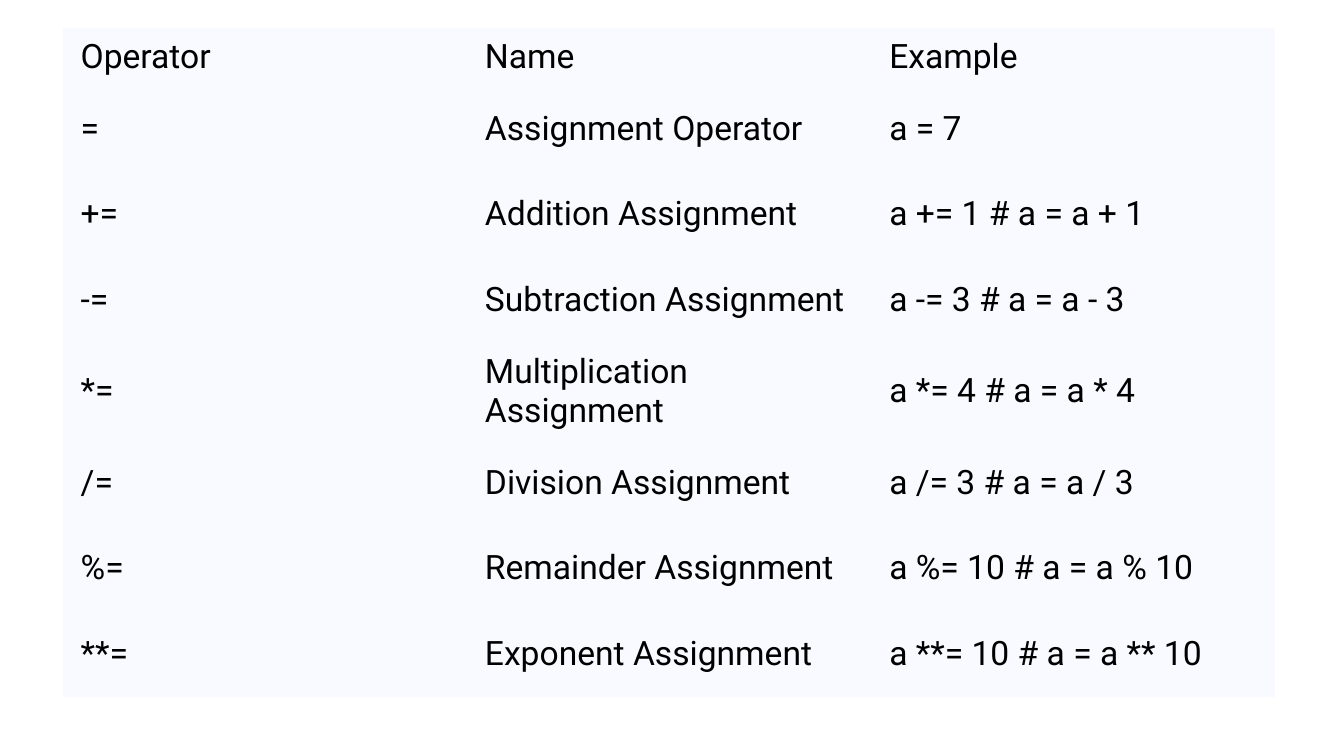
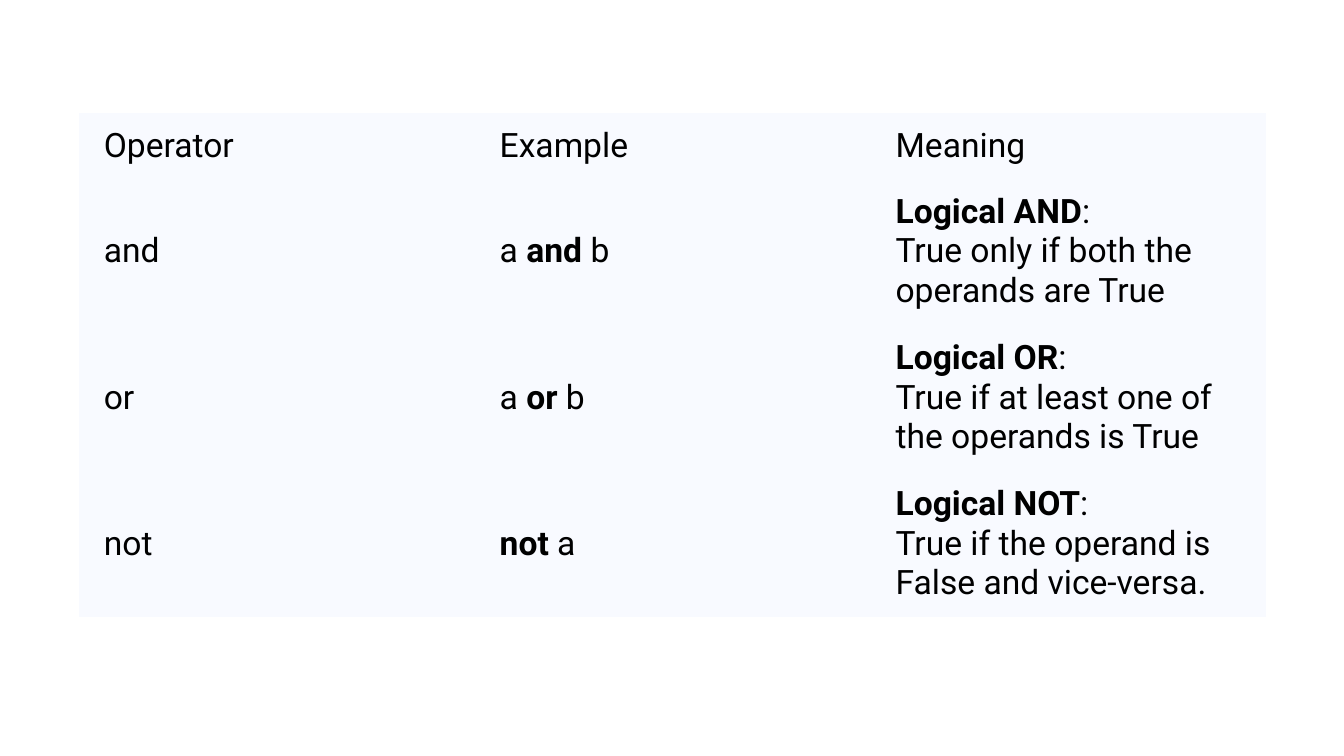
from pptx import Presentation
from pptx.dml.color import RGBColor
from pptx.enum import text
from pptx.util import Inches, Pt

COLORS = {"ink": "000000", "cell": "F8FAFF"}
FONT = "Roboto"
FONT_SIZE = Pt(24)
PLAIN_TABLE_STYLE = "{2D5ABB26-0587-4C30-8999-92F81FD0307C}"
BLANK_LAYOUT = 6

ASSIGNMENT_ROWS = [
    ("Operator", "Name", "Example"),
    ("=", "Assignment Operator", "a = 7"),
    ("+=", "Addition Assignment", "a += 1 # a = a + 1"),
    ("-=", "Subtraction Assignment", "a -= 3 # a = a - 3"),
    ("*=", "Multiplication Assignment", "a *= 4 # a = a * 4"),
    ("/=", "Division Assignment", "a /= 3 # a = a / 3"),
    ("%=", "Remainder Assignment", "a %= 10 # a = a % 10"),
    ("**=", "Exponent Assignment", "a **= 10 # a = a ** 10"),
]


def bold(words):
    return words, True


def meaning(name, explanation):
    return [bold(name), ":", "\n", explanation]


LOGICAL_ROWS = [
    ("Operator", "Example", "Meaning"),
    ("and", ["a ", bold("and"), " b"],
     meaning("Logical AND", "True only if both the operands are True")),
    ("or", ["a ", bold("or"), " b"],
     meaning("Logical OR", "True if at least one of the operands is True")),
    ("not", [bold("not"), " a"],
     meaning("Logical NOT", "True if the operand is False and vice-versa.")),
]


def fill_cell(cell, content, side, edge):
    """Write a string, or a list of plain and bold spans, into a cell."""
    cell.fill.solid()
    cell.fill.fore_color.rgb = RGBColor.from_string(COLORS["cell"])
    cell.vertical_anchor = text.MSO_ANCHOR.MIDDLE
    cell.margin_left = cell.margin_right = Inches(side)
    cell.margin_top = cell.margin_bottom = Inches(edge)
    para = cell.text_frame.paragraphs[0]
    para.font.size = FONT_SIZE
    para.font.name = FONT
    for part in [content] if isinstance(content, str) else content:
        if part == "\n":
            para.add_line_break()
            continue
        words, is_bold = (part, False) if isinstance(part, str) else part
        span = para.add_run()
        span.text = words
        span.font.name = FONT
        span.font.size = FONT_SIZE
        span.font.bold = is_bold
        span.font.color.rgb = RGBColor.from_string(COLORS["ink"])


def add_operator_slide(deck, rows, box, header_height, row_height, side, edge):
    """Add a slide with one table; box is its left, top and width."""
    page = deck.slides.add_slide(deck.slide_layouts[BLANK_LAYOUT])
    left, top, width = box
    height = header_height + row_height * (len(rows) - 1)
    columns = len(rows[0])
    frame = page.shapes.add_table(len(rows), columns, Inches(left), Inches(top),
                                  Inches(width), Inches(height))
    table = frame.table
    table.first_row = table.horz_banding = False
    table._tbl.tblPr.find("{*}tableStyleId").text = PLAIN_TABLE_STYLE
    for column in table.columns:
        column.width = Inches(width / columns)
    for index, contents in enumerate(rows):
        table.rows[index].height = Inches(row_height if index else header_height)
        for cell, content in zip(table.rows[index].cells, contents):
            fill_cell(cell, content, side, edge)


def main():
    deck = Presentation()
    deck.slide_width = Inches(13.33)
    deck.slide_height = Inches(7.5)
    add_operator_slide(deck, ASSIGNMENT_ROWS, (0.62, 0.28, 12.03),
                       header_height=0.55, row_height=0.85, side=0.18, edge=0.09)
    add_operator_slide(deck, LOGICAL_ROWS, (0.78, 1.12, 11.78),
                       header_height=0.65, row_height=1.45, side=0.25, edge=0.12)
    deck.save("out.pptx")


if __name__ == "__main__":
    main()
